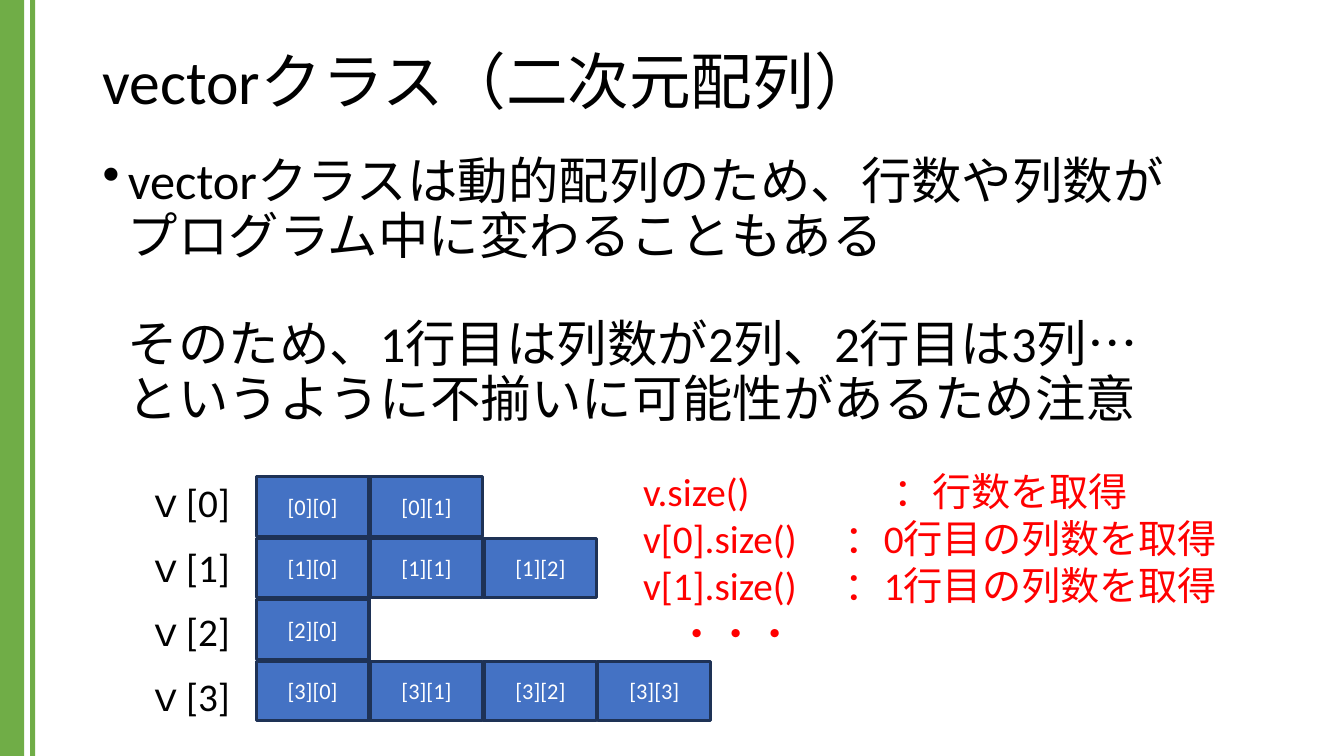
from dataclasses import dataclass

from pptx import Presentation
from pptx.dml.color import RGBColor
from pptx.enum.shapes import MSO_SHAPE as Shape
from pptx.enum.text import MSO_ANCHOR as Anchor, PP_ALIGN as Align
from pptx.oxml.xmlchemy import OxmlElement
from pptx.util import Inches, Pt


@dataclass(frozen=True)
class Theme:
    font: str = "Calibri"
    text: RGBColor = RGBColor(0, 0, 0)
    note: RGBColor = RGBColor(0xFF, 0, 0)
    stripe: RGBColor = RGBColor(0x70, 0xAD, 0x47)
    cell: RGBColor = RGBColor(0x44, 0x72, 0xC4)
    cell_edge: RGBColor = RGBColor(0x1E, 0x32, 0x56)
    cell_text: RGBColor = RGBColor(0xFF, 0xFF, 0xFF)
    title_size: int = 44
    body_size: int = 36
    note_size: int = 28
    cell_size: int = 16


THEME = Theme()
COLUMNS_PER_ROW = [2, 3, 1, 4]
BODY = [
    "vectorクラスは動的配列のため、行数や列数が\vプログラム中に変わることもある",
    "そのため、1行目は列数が2列、2行目は3列…\vというように不揃いに可能性があるため注意",
]
# Each call, its meaning, and where the meaning starts
SIZE_CALLS = [
    ("v.size()", "行数を取得", 2.48),
    ("v[0].size()", "0行目の列数を取得", 2),
    ("v[1].size()", "1行目の列数を取得", 2),
]


def write(frame, paragraphs, size, color, **formats):
    """Fill a text frame, giving every paragraph the same formats."""
    frame.word_wrap = True
    frame.text = "\n".join(paragraphs)
    for paragraph in frame.paragraphs:
        for name, value in formats.items():
            setattr(paragraph, name, value)
        for run in paragraph.runs:
            run.font.name = THEME.font
            run.font.size = Pt(size)
            run.font.color.rgb = color
    return frame.paragraphs


def add_text(slide, box, paragraphs, size, color, **formats):
    frame = slide.shapes.add_textbox(*map(Inches, box)).text_frame
    return frame, write(frame, paragraphs, size, color, **formats)


def add_rect(slide, box, fill):
    rect = slide.shapes.add_shape(Shape.RECTANGLE, *map(Inches, box))
    rect.shadow.inherit = False
    rect.fill.solid()
    rect.fill.fore_color.rgb = fill
    rect.line.fill.background()
    return rect


def set_indent(paragraph, left, first=0):
    properties = paragraph._p.get_or_add_pPr()
    properties.set("marL", str(Inches(left)))
    properties.set("indent", str(Inches(first)))
    return properties


def add_stripes(slide, left, top, height):
    for offset, width in ((0, 0.24), (0.3, 0.05)):
        add_rect(slide, (left + offset, top, width, height), THEME.stripe)


def add_title(slide, box):
    frame, _ = add_text(slide, box, ["vectorクラス（二次元配列）"],
                        THEME.title_size, THEME.text, line_spacing=0.9)
    frame.vertical_anchor = Anchor.MIDDLE


def add_body(slide, box):
    _, (point, follow_up) = add_text(slide, box, BODY, THEME.body_size, THEME.text,
                                     line_spacing=0.9, space_before=Pt(10))
    bullet = OxmlElement("a:buChar")
    bullet.set("char", "•")
    set_indent(point, 0.25, -0.25).append(bullet)
    set_indent(follow_up, 0.25)
    follow_up.space_before = Pt(38.6)


def add_jagged_array(slide, left, top):
    """Row labels at the left, then one cell for each element."""
    label_pitch, row_pitch, column_pitch = 0.64, 0.61, 1.13
    for row, columns in enumerate(COLUMNS_PER_ROW):
        add_text(slide, (left, top + row * label_pitch, 1.16, 0.57), [f"ｖ[{row}]"],
                 THEME.note_size, THEME.text)
        for column in range(columns):
            box = (left + 1.18 + column * column_pitch,
                   top + 0.03 + row * row_pitch, 1.12, 0.59)
            cell = add_rect(slide, box, THEME.cell)
            cell.line.color.rgb = THEME.cell_edge
            cell.line.width = Pt(2.25)
            cell.text_frame.vertical_anchor = Anchor.MIDDLE
            write(cell.text_frame, [f"[{row}][{column}]"], THEME.cell_size,
                  THEME.cell_text, alignment=Align.CENTER)


def add_size_notes(slide, box):
    lines = [f"{call}\t：{meaning}" for call, meaning, _ in SIZE_CALLS]
    _, paragraphs = add_text(slide, box, lines + ["・・・"],
                             THEME.note_size, THEME.note)
    for paragraph, (_, _, position) in zip(paragraphs, SIZE_CALLS):
        stops = OxmlElement("a:tabLst")
        stop = OxmlElement("a:tab")
        stop.set("pos", str(Inches(position)))
        stop.set("algn", "l")
        stops.append(stop)
        paragraph._p.get_or_add_pPr().append(stops)
    set_indent(paragraphs[-1], 0.34)


def main():
    deck = Presentation()
    deck.slide_width, deck.slide_height = Inches(13.33), Inches(7.5)
    slide = deck.slides.add_slide(deck.slide_layouts[6])
    add_stripes(slide, 0, 0, 7.5)
    add_title(slide, (0.92, 0.4, 11.5, 0.87))
    add_body(slide, (0.92, 1.5, 12.29, 5.45))
    add_jagged_array(slide, 1.36, 4.7)
    add_size_notes(slide, (6.28, 4.59, 6.81, 1.99))
    deck.save("out.pptx")


if __name__ == "__main__":
    main()
